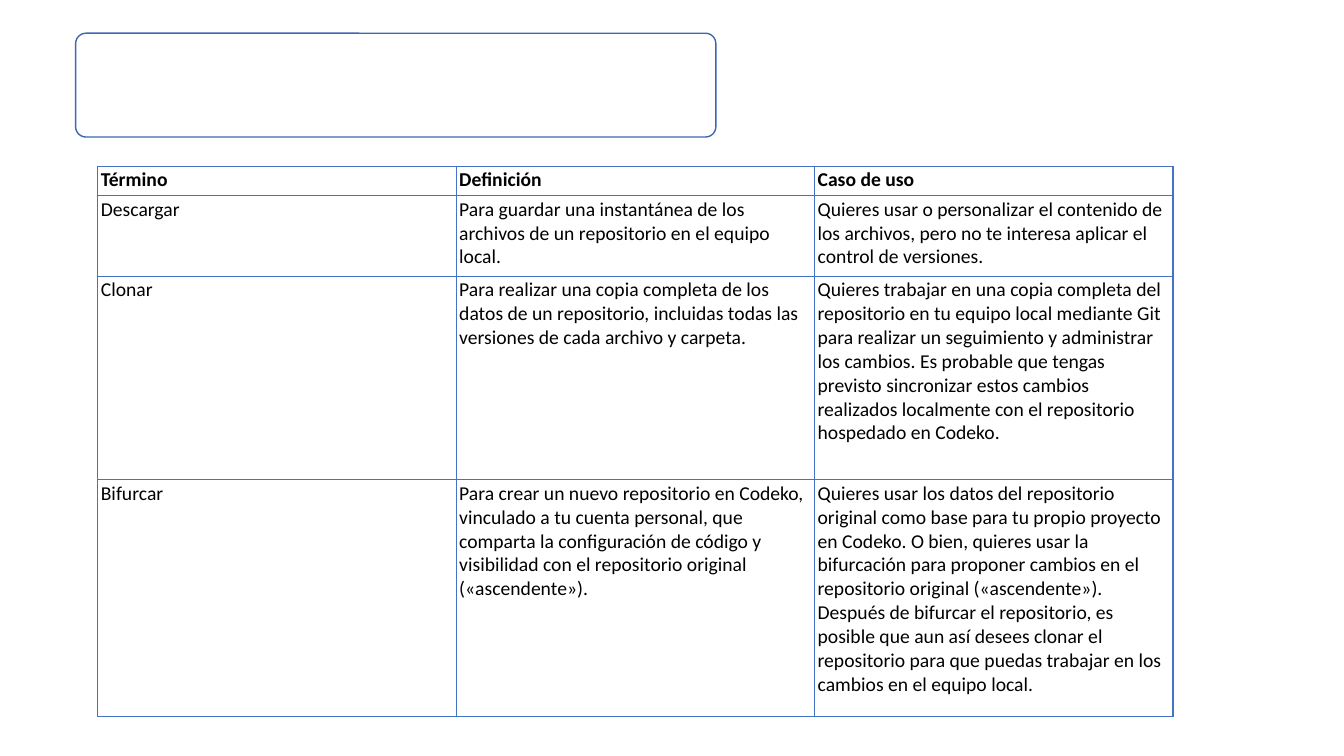
from lxml.etree import SubElement
from pptx import Presentation
from pptx.dml.color import RGBColor
from pptx.enum.shapes import MSO_SHAPE as Shape
from pptx.oxml.ns import qn
from pptx.util import Inches, Pt

ROWS = [
    ("Término", "Definición", "Caso de uso"),
    (
        "Descargar",
        "Para guardar una instantánea de los archivos de un repositorio en el equipo local.",
        "Quieres usar o personalizar el contenido de los archivos, pero no te interesa "
        "aplicar el control de versiones.",
    ),
    (
        "Clonar",
        "Para realizar una copia completa de los datos de un repositorio, incluidas todas "
        "las versiones de cada archivo y carpeta.",
        "Quieres trabajar en una copia completa del repositorio en tu equipo local mediante "
        "Git para realizar un seguimiento y administrar los cambios. Es probable que tengas "
        "previsto sincronizar estos cambios realizados localmente con el repositorio "
        "hospedado en Codeko.",
    ),
    (
        "Bifurcar",
        "Para crear un nuevo repositorio en Codeko, vinculado a tu cuenta personal, que "
        "comparta la configuración de código y visibilidad con el repositorio original "
        "(«ascendente»).",
        "Quieres usar los datos del repositorio original como base para tu propio proyecto "
        "en Codeko. O bien, quieres usar la bifurcación para proponer cambios en el "
        "repositorio original («ascendente»). Después de bifurcar el repositorio, es posible "
        "que aun así desees clonar el repositorio para que puedas trabajar en los cambios en "
        "el equipo local.",
    ),
]
COLORS = {"paper": "FFFFFF", "banner": "3E67B2", "grid": "4472C4", "text": "000000"}
ROW_HEIGHTS = (0.29, 0.8, 2.02, 2.35)
COLUMN_WIDTH = 3.555
TABLE_LEFT, TABLE_TOP = 0.97, 1.65
BANNER = (0.75, 0.33, 6.35, 1.03)


def color(name):
    return RGBColor.from_string(COLORS[name])


def add_banner(slide):
    banner = slide.shapes.add_shape(Shape.ROUNDED_RECTANGLE, *map(Inches, BANNER))
    banner.adjustments[0] = 0.1
    banner.shadow.inherit = False
    banner.fill.solid()
    banner.fill.fore_color.rgb = color("paper")
    banner.line.color.rgb = color("banner")
    banner.line.width = Pt(1)


def add_borders(cell):
    properties = cell._tc.get_or_add_tcPr()
    for position, side in enumerate(("a:lnL", "a:lnR", "a:lnT", "a:lnB")):
        border = SubElement(properties, qn(side), w=str(Pt(1)))
        fill = SubElement(border, qn("a:solidFill"))
        SubElement(fill, qn("a:srgbClr"), val=COLORS["grid"])
        properties.insert(position, border)


def fill_cell(cell, text, bold):
    cell.margin_left = cell.margin_right = Inches(0.03)
    cell.margin_top = cell.margin_bottom = Inches(0.02)
    cell.fill.background()
    add_borders(cell)
    run = cell.text_frame.paragraphs[0].add_run()
    run.text = text
    run.font.name = "Calibri"
    run.font.size = Pt(14)
    run.font.bold = bold
    run.font.color.rgb = color("text")


def add_terms_table(slide):
    columns = len(ROWS[0])
    frame = slide.shapes.add_table(
        len(ROWS), columns, Inches(TABLE_LEFT), Inches(TABLE_TOP),
        Inches(COLUMN_WIDTH * columns), Inches(sum(ROW_HEIGHTS)),
    )
    table = frame.table
    table.first_row = table.horz_banding = False
    for column in table.columns:
        column.width = Inches(COLUMN_WIDTH)
    for row_index, texts in enumerate(ROWS):
        table.rows[row_index].height = Inches(ROW_HEIGHTS[row_index])
        for column_index, text in enumerate(texts):
            fill_cell(table.cell(row_index, column_index), text, row_index == 0)


def main():
    presentation = Presentation()
    presentation.slide_width, presentation.slide_height = Inches(13.33), Inches(7.5)
    slide = presentation.slides.add_slide(presentation.slide_layouts[6])
    add_banner(slide)
    add_terms_table(slide)
    presentation.save("out.pptx")


if __name__ == "__main__":
    main()
